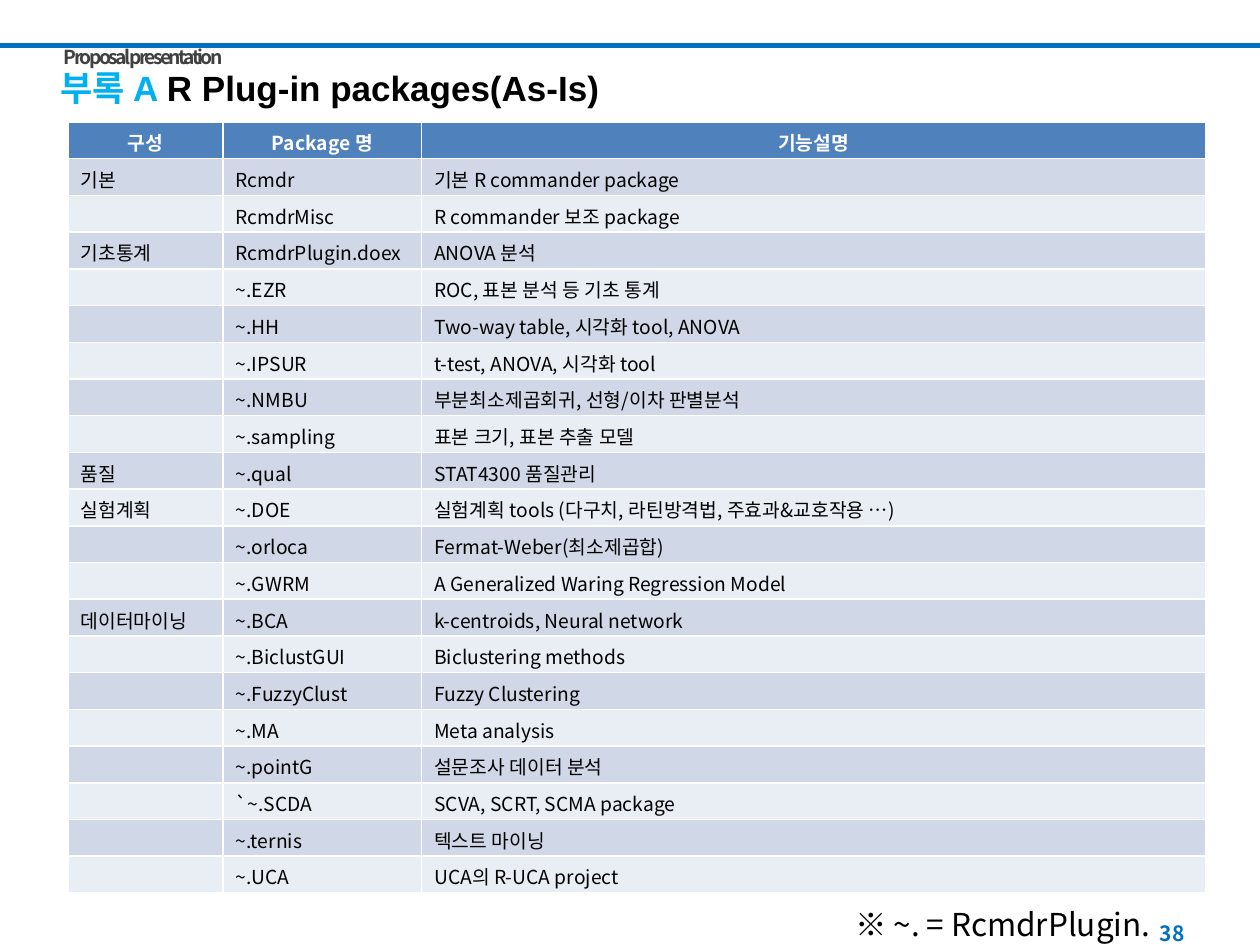
from lxml import etree
from pptx import Presentation
from pptx.dml.color import RGBColor
from pptx.enum.shapes import MSO_CONNECTOR
from pptx.enum.text import MSO_ANCHOR, MSO_AUTO_SIZE, PP_ALIGN
from pptx.oxml.ns import qn
from pptx.util import Cm, Pt

STRAIGHT = MSO_CONNECTOR.STRAIGHT
TOP, MIDDLE = MSO_ANCHOR.TOP, MSO_ANCHOR.MIDDLE
LEFT, CENTER, RIGHT, JUSTIFY = PP_ALIGN.LEFT, PP_ALIGN.CENTER, PP_ALIGN.RIGHT, PP_ALIGN.JUSTIFY
NO_AUTOFIT = MSO_AUTO_SIZE.NONE

BLACK = RGBColor(0x00, 0x00, 0x00)
WHITE = RGBColor(0xFF, 0xFF, 0xFF)
GRAY = RGBColor(0x40, 0x40, 0x40)
BLUE = RGBColor(0x00, 0x70, 0xC0)
SKY = RGBColor(0x00, 0xB0, 0xF0)
HEADER_FILL = RGBColor(0x4F, 0x81, 0xBD)
BAND_FILLS = (RGBColor(0xD0, 0xD8, 0xE8), RGBColor(0xE9, 0xED, 0xF4))

LATIN_FONT = "Arial"
KOREAN_FONT = "Noto Sans CJK KR"
TABLE_SIZE = 11

COLUMN_WIDTHS = (3.13, 4.0, 15.8)
ROW_HEIGHT = 0.74
HEADER = ("구성", "Package 명", "기능설명")
PACKAGES = (
    ("기본", "Rcmdr", "기본 R commander package"),
    ("", "RcmdrMisc", "R commander 보조 package"),
    ("기초통계", "RcmdrPlugin.doex", "ANOVA 분석"),
    ("", "~.EZR", "ROC, 표본 분석 등 기초 통계"),
    ("", "~.HH", "Two-way table, 시각화 tool, ANOVA"),
    ("", "~.IPSUR", "t-test, ANOVA, 시각화 tool"),
    ("", "~.NMBU", "부분최소제곱회귀, 선형/이차 판별분석"),
    ("", "~.sampling", "표본 크기, 표본 추출 모델"),
    ("품질", "~.qual", "STAT4300 품질관리"),
    ("실험계획", "~.DOE", "실험계획 tools (다구치, 라틴방격법, 주효과&교호작용 …)"),
    ("", "~.orloca", "Fermat-Weber(최소제곱합)"),
    ("", "~.GWRM", "A Generalized Waring Regression Model"),
    ("데이터마이닝", "~.BCA", "k-centroids, Neural network"),
    ("", "~.BiclustGUI", "Biclustering methods"),
    ("", "~.FuzzyClust", "Fuzzy Clustering"),
    ("", "~.MA", "Meta analysis"),
    ("", "~.pointG", "설문조사 데이터 분석"),
    ("", "`~.SCDA", "SCVA, SCRT, SCMA package"),
    ("", "~.ternis", "텍스트 마이닝"),
    ("", "~.UCA", "UCA의 R-UCA project"),
)


class SlideBuilder:
    def __init__(self, slide):
        self.slide = slide

    def add_run(self, paragraph, text, size, color, bold=False, name=KOREAN_FONT, spacing=None):
        run = paragraph.add_run()
        run.text = text
        values = {"size": Pt(size), "bold": bold, "name": name}
        for attribute, value in values.items():
            setattr(run.font, attribute, value)
        run.font.color.rgb = color
        properties = run._r.get_or_add_rPr()
        etree.SubElement(properties, qn("a:ea")).set("typeface", KOREAN_FONT)
        if spacing is not None:
            properties.set("spc", str(int(spacing * 100)))

    def fill_frame(self, frame, runs, alignment=LEFT, anchor=TOP):
        values = {"word_wrap": True, "auto_size": NO_AUTOFIT, "vertical_anchor": anchor}
        for attribute, value in values.items():
            setattr(frame, attribute, value)
        paragraph = frame.paragraphs[0]
        paragraph.alignment = alignment
        for run in runs:
            self.add_run(paragraph, **run)

    def title(self, left, top, width, height, runs):
        shape = self.slide.shapes.title
        position = {"left": left, "top": top, "width": width, "height": height}
        for attribute, value in position.items():
            setattr(shape, attribute, Cm(value))
        self.fill_frame(shape.text_frame, runs)

    def text(self, left, top, width, height, run, alignment=LEFT, anchor=TOP):
        shape = self.slide.shapes.add_textbox(Cm(left), Cm(top), Cm(width), Cm(height))
        self.fill_frame(shape.text_frame, [run], alignment, anchor)

    def rule(self, left, right, top, color, width):
        connector = self.slide.shapes.add_connector(
            STRAIGHT, Cm(left), Cm(top), Cm(right), Cm(top))
        connector.line.color.rgb = color
        connector.line.width = Pt(width)
        etree.SubElement(connector._element.spPr, qn("a:effectLst"))

    def cell(self, cell, text, fill, color, bold, alignment):
        cell.fill.solid()
        cell.fill.fore_color.rgb = fill
        cell.margin_bottom = Cm(0)
        paragraph = cell.text_frame.paragraphs[0]
        paragraph.alignment = alignment
        if text:
            self.add_run(paragraph, text, TABLE_SIZE, color, bold)
        else:
            end = etree.SubElement(paragraph._p, qn("a:endParaRPr"))
            end.set("sz", str(TABLE_SIZE * 100))

    def table(self, left, top, header, rows):
        count = len(rows) + 1
        table = self.slide.shapes.add_table(
            count, len(header), Cm(left), Cm(top),
            Cm(sum(COLUMN_WIDTHS)), Cm(ROW_HEIGHT * count)).table
        for column, width in zip(table.columns, COLUMN_WIDTHS):
            column.width = Cm(width)
        for row in table.rows:
            row.height = Cm(ROW_HEIGHT)
        for column, text in enumerate(header):
            self.cell(table.cell(0, column), text, HEADER_FILL, WHITE, True, CENTER)
        for index, texts in enumerate(rows):
            fill = BAND_FILLS[index % 2]
            for column, text in enumerate(texts):
                self.cell(table.cell(index + 1, column), text, fill, BLACK, False, LEFT)


def main():
    presentation = Presentation()
    presentation.slide_width = Cm(25.4)
    presentation.slide_height = Cm(19.05)
    builder = SlideBuilder(presentation.slides.add_slide(presentation.slide_layouts[5]))

    builder.rule(0, 25.4, 0.91, BLUE, 3)
    builder.title(0.97, 1.22, 11.73, 1.12, [
        {"text": "부록 A ", "size": 20, "color": SKY, "bold": True, "name": LATIN_FONT},
        {"text": "R Plug-in packages(As-Is)", "size": 20, "color": BLACK, "bold": True,
         "name": LATIN_FONT},
    ])
    builder.text(1.04, 0.79, 6.2, 0.74, {
        "text": "Proposal presentation", "size": 11, "color": GRAY, "bold": True,
        "spacing": -1.5}, JUSTIFY)
    builder.table(1.37, 2.46, HEADER, PACKAGES)
    builder.text(16.99, 18.11, 6.53, 1.02, {
        "text": "※ ~. = RcmdrPlugin.", "size": 18, "color": BLACK})
    builder.text(18.21, 18.31, 5.92, 1.02, {
        "text": "38", "size": 12, "color": BLUE, "bold": True}, RIGHT, MIDDLE)
    presentation.save("out.pptx")


if __name__ == "__main__":
    main()
